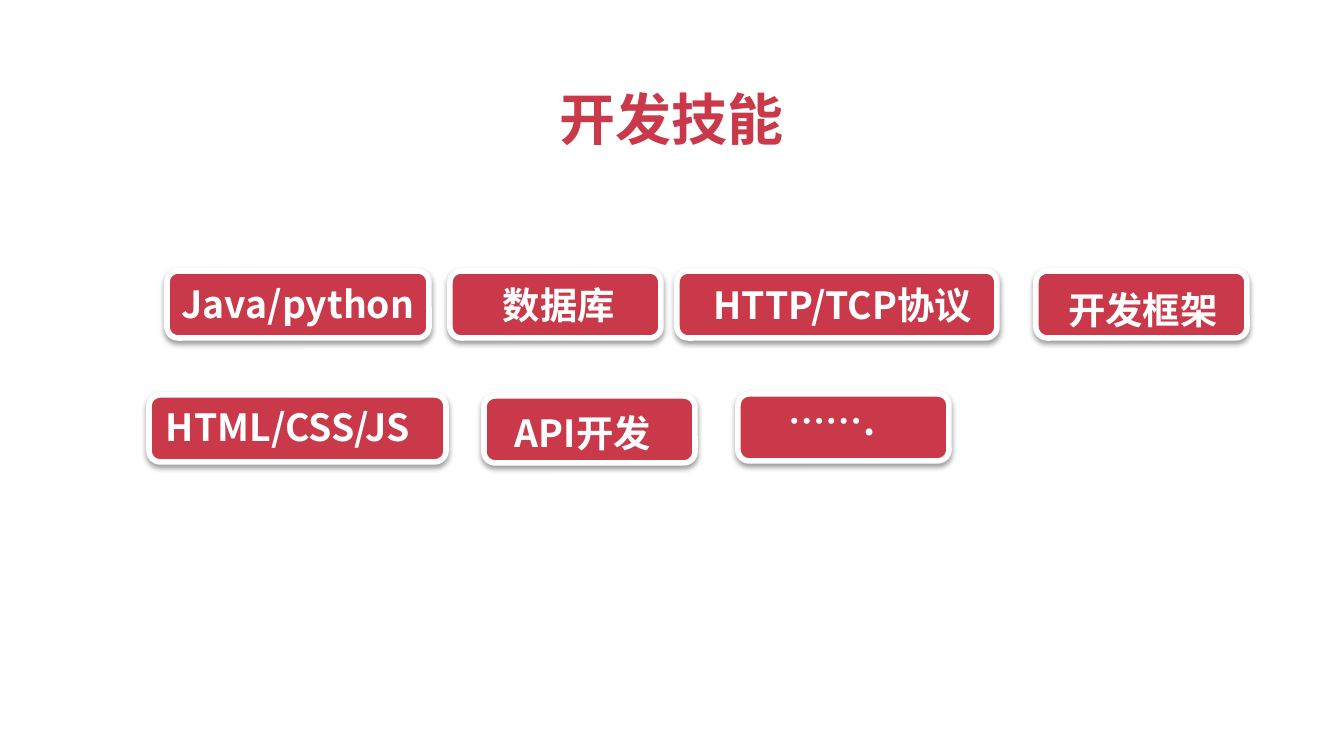
"""Build a slide that lists development skills as rounded badges."""
from lxml import etree
from pptx import Presentation, util as u
from pptx.dml.color import RGBColor
from pptx.enum import shapes, text
from pptx.oxml import ns

PX = 914400 / 134.4
W, H = 1344, 756
FONT = "Noto Sans CJK SC"
COLORS = {"red": "C9394A", "white": "FFFFFF", "shadow": "000000"}
TITLE = "开发技能"
BADGE_H, LABEL_H = 67, 60

# text, badge left, top, width, label centre x, label centre y
SKILLS = [
    ("Java/python", 167, 271, 262, 298, 304),
    ("数据库", 450, 271, 211, 559, 305),
    ("HTTP/TCP协议", 677, 271, 320, 843, 305),
    ("开发框架", 1036, 271, 211, 1143, 310),
    ("HTML/CSS/JS", 149, 395, 297, 288, 427),
    ("API开发", 484, 396, 211, 583, 433),
    ("…….", 738, 394, 211, 832, 421),
]


def px(*values):
    return [u.Emu(round(v * PX)) for v in values]


def rgb(name):
    return RGBColor.from_string(COLORS[name])


def add_text(s, content, *, cx, cy, w, h, size, color):
    tf = s.shapes.add_textbox(*px(cx - w / 2, cy - h / 2, w, h)).text_frame
    tf.word_wrap = True
    tf.vertical_anchor = text.MSO_ANCHOR.MIDDLE
    tf.margin_left = tf.margin_right = tf.margin_top = tf.margin_bottom = u.Inches(0.05)
    p = tf.paragraphs[0]
    p.alignment = text.PP_ALIGN.CENTER
    r = p.add_run()
    r.text = content
    r.font.size, r.font.bold, r.font.name = u.Pt(size), True, FONT
    r.font.color.rgb = rgb(color)
    etree.SubElement(r.font._element, ns.qn("a:ea"), typeface=FONT)


def add_badge(s, left, top, width):
    sp = s.shapes.add_shape(shapes.MSO_SHAPE.ROUNDED_RECTANGLE,
                            *px(left, top, width, BADGE_H))
    sp.adjustments[0] = 0.167
    sp.fill.solid()
    sp.fill.fore_color.rgb = rgb("red")
    sp.line.color.rgb = rgb("white")
    sp.line.width = u.Pt(3)
    sp.shadow.inherit = False
    effects = sp._element.spPr.find(ns.qn("a:effectLst"))
    shadow = etree.SubElement(effects, ns.qn("a:outerShdw"), blurRad=str(u.Pt(3)),
                              dist=str(u.Pt(1.6)), dir="5400000", rotWithShape="0")
    color = etree.SubElement(shadow, ns.qn("a:srgbClr"), val=COLORS["shadow"])
    etree.SubElement(color, ns.qn("a:alpha"), val="38000")


def main():
    prs = Presentation()
    prs.slide_width, prs.slide_height = px(W, H)
    s = prs.slides.add_slide(prs.slide_layouts[6])
    add_text(s, TITLE, cx=W / 2, cy=118, w=240, h=92, size=30, color="red")
    for label, left, top, width, cx, cy in SKILLS:
        add_badge(s, left, top, width)
        add_text(s, label, cx=cx, cy=cy, w=width, h=LABEL_H, size=20, color="white")
    prs.save("out.pptx")


if __name__ == "__main__":
    main()
